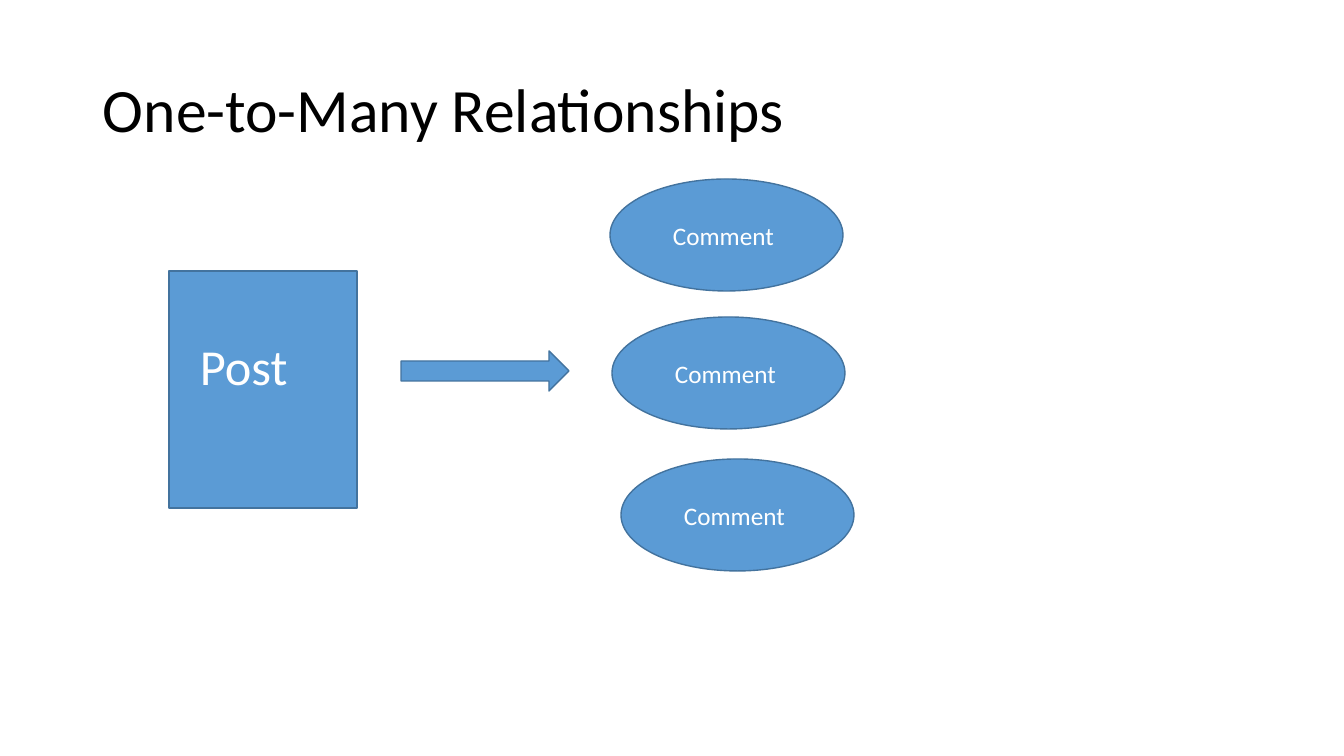
from pptx import Presentation
from pptx import util as u
from pptx.dml.color import RGBColor
from pptx.enum import shapes, text

FONT = "Calibri"
BLACK = RGBColor(0x00, 0x00, 0x00)
WHITE = RGBColor(0xFF, 0xFF, 0xFF)
BLUE = RGBColor(0x5B, 0x9B, 0xD5)
OUTLINE = RGBColor(0x43, 0x73, 0x9E)

TITLE = "One-to-Many Relationships"
TITLE_BOX = (93, 40, 1159, 146)
POST = "Post"
POST_BOX = (169, 271, 188, 237)
POST_LABEL = (190, 330, 145, 72)
ARROW_BOX = (401, 351, 168, 40)
COMMENTS = [("Comment", 610, 179), ("Comment", 612, 317), ("Comment", 621, 459)]
COMMENT_SIZE = (233, 112)
LABEL_OFFSET = (53, 36)
LABEL_SIZE = (148, 40)


def px(value):
    return u.Emu(round(value * 914400 / 100.8))


def add_figure(kind, area):
    figure = page.shapes.add_shape(kind, *map(px, area))
    figure.shadow.inherit = False
    figure.fill.solid()
    figure.fill.fore_color.rgb = BLUE
    figure.line.color.rgb = OUTLINE
    figure.line.width = u.Pt(1)
    return figure


def add_label(words, area, size, color, anchor=text.MSO_ANCHOR.TOP):
    box = page.shapes.add_textbox(*map(px, area))
    frame = box.text_frame
    frame.word_wrap = True
    frame.vertical_anchor = anchor
    frame.text = words
    para = frame.paragraphs[0]
    span = para.runs[0]
    span.font.name = FONT
    span.font.size = u.Pt(size)
    span.font.color.rgb = color
    return para


deck = Presentation()
deck.slide_width, deck.slide_height = px(1344), px(756)
page = deck.slides.add_slide(deck.slide_layouts[6])

title = add_label(TITLE, TITLE_BOX, 44, BLACK, text.MSO_ANCHOR.MIDDLE)
title.line_spacing = 0.9

add_figure(shapes.MSO_SHAPE.FLOWCHART_PROCESS, POST_BOX)
add_label(POST, POST_LABEL, 36, WHITE)

for words, left, top in COMMENTS:
    add_figure(shapes.MSO_SHAPE.OVAL, (left, top, *COMMENT_SIZE))
    label_area = (left + LABEL_OFFSET[0], top + LABEL_OFFSET[1], *LABEL_SIZE)
    add_label(words, label_area, 18, WHITE)

add_figure(shapes.MSO_SHAPE.RIGHT_ARROW, ARROW_BOX)

deck.save("out.pptx")
